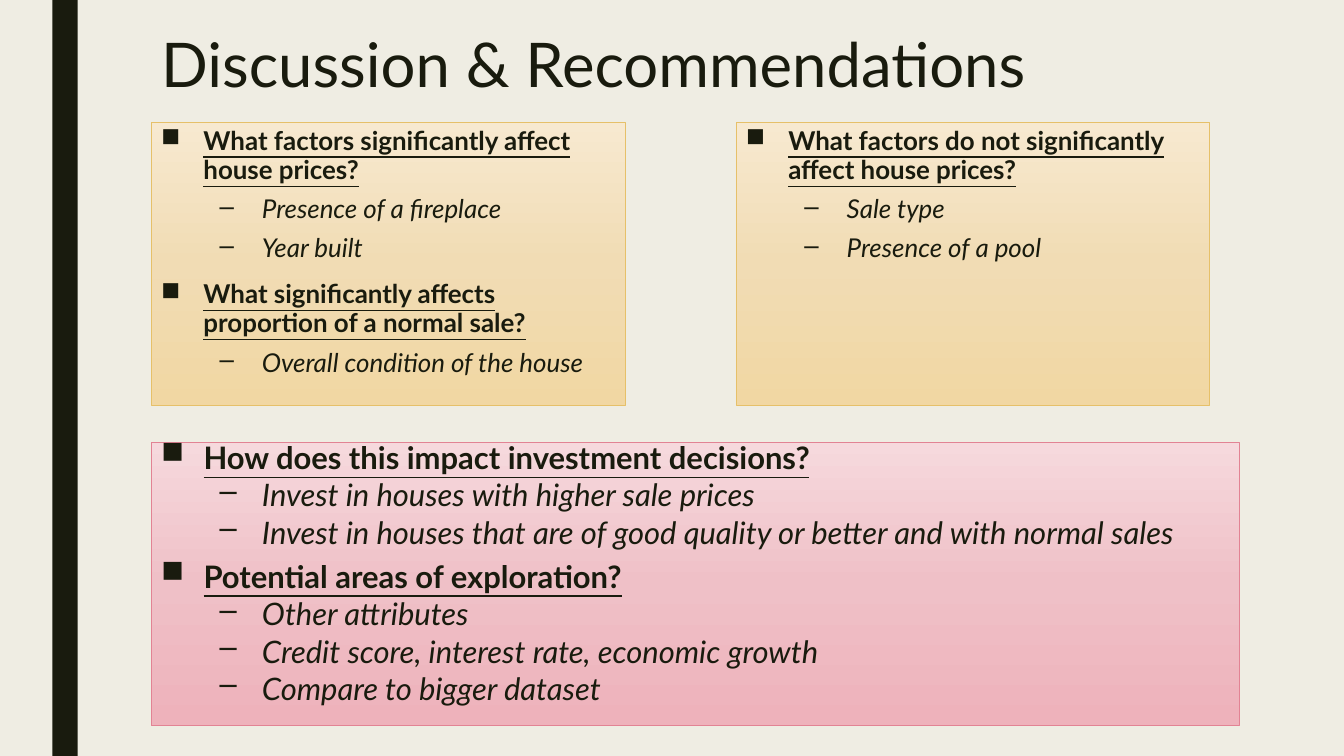
from copy import deepcopy

from lxml import etree
from pptx import Presentation
from pptx.dml.color import RGBColor
from pptx.enum.shapes import MSO_SHAPE
from pptx.enum.text import MSO_ANCHOR, PP_ALIGN
from pptx.oxml.ns import qn
from pptx.util import Inches, Pt

RECT = MSO_SHAPE.RECTANGLE
TOP = MSO_ANCHOR.TOP
LEFT = PP_ALIGN.LEFT

# Palette: fill stops from top to bottom, then the outline
SAND = ("F7E9D0", "F1DCB4", "F1D7A3"), "E6C069"
ROSE = ("F6D9DD", "EFC0C7", "EEB2BB"), "E28394"

# Bullet style by level: mark, left indent in inches, space before in points
MARKS = (("■", 0.42, 10), ("–", 1, 5))
HANG = 0.42


def tint(code):
    return RGBColor.from_string(code)


def write(para, text, size, color, font="Lato", bold=False, under=False,
          slant=False, line=1, before=0, after=0):
    para.alignment = LEFT
    para.line_spacing = line
    para.space_before = Pt(before)
    para.space_after = Pt(after)
    run = para.add_run()
    run.text = text
    face = run.font
    face.name, face.size = font, Pt(size)
    face.bold, face.underline, face.italic = bold, under, slant
    face.color.rgb = tint(color)


class Deck:
    ink = "191B0E"
    paper = "EFEDE3"
    cell = 0.1  # inches per grid column and row

    def __init__(self):
        self.file = Presentation()
        self.file.slide_width = Inches(13.33)
        self.file.slide_height = Inches(7.5)
        self.page = self.file.slides.add_slide(self.file.slide_layouts[6])
        back = self.page.background.fill
        back.solid()
        back.fore_color.rgb = tint(self.paper)

    def place(self, *grid):
        return [Inches(n * self.cell) for n in grid]

    def band(self, *grid):
        bar = self.page.shapes.add_shape(RECT, *self.place(*grid))
        bar.shadow.inherit = False
        bar.fill.solid()
        bar.fill.fore_color.rgb = tint(self.ink)
        bar.line.fill.background()

    def title(self, text, *grid):
        frame = self.page.shapes.add_textbox(*self.place(*grid)).text_frame
        frame.word_wrap = True
        frame.vertical_anchor = TOP
        write(frame.paragraphs[0], text, 44, self.ink, line=0.89)

    def shade(self, box, stops):
        box.fill.gradient()
        box.fill.gradient_angle = 270
        first = box.fill.gradient_stops[0]
        rows = box._element.spPr.find(".//" + qn("a:gsLst"))
        rows.insert(1, deepcopy(rows[0]))
        for i, stop in enumerate(box.fill.gradient_stops):
            stop.position = i / 2
            stop.color.rgb = tint(stops[i])

    def panel(self, topics, style, size, line, *grid):
        stops, edge = style
        box = self.page.shapes.add_shape(RECT, *self.place(*grid))
        box.shadow.inherit = False
        self.shade(box, stops)
        box.line.color.rgb = tint(edge)
        box.line.width = Pt(0.5)
        frame = box.text_frame
        frame.word_wrap = True
        frame.vertical_anchor = TOP
        items = [(text, level) for head, points in topics
                 for text, level in [(head, 0)] + [(p, 1) for p in points]]
        for i, (text, level) in enumerate(items):
            para = frame.paragraphs[0] if i == 0 else frame.add_paragraph()
            self.bullet(para, level)
            write(para, text, size, self.ink, bold=level == 0,
                  under=level == 0, slant=level == 1, line=line,
                  before=MARKS[level][2] if i else 0, after=2)

    def bullet(self, para, level):
        mark, indent, _ = MARKS[level]
        para.level = level
        props = para._p.get_or_add_pPr()
        props.set("marL", str(Inches(indent)))
        props.set("indent", str(-Inches(HANG)))
        etree.SubElement(props, qn("a:buChar")).set("char", mark)


def main():
    deck = Deck()
    deck.band(5.2, 0, 2.5, 75)

    # Findings, side by side
    found = [
        ("What factors significantly affect house prices?",
         ["Presence of a fireplace", "Year built"]),
        ("What significantly affects proportion of a normal sale?",
         ["Overall condition of the house"]),
    ]
    other = [
        ("What factors do not significantly affect house prices?",
         ["Sale type", "Presence of a pool"]),
    ]
    for i, topics in enumerate((found, other)):
        deck.panel(topics, SAND, 18.5, 0.94, 15 + 58 * i, 12.1, 47, 28.1)

    # Recommendations
    advice = [
        ("How does this impact investment decisions?",
         ["Invest in houses with higher sale prices",
          "Invest in houses that are of good quality or better "
          "and with normal sales"]),
        ("Potential areas of exploration?",
         ["Other attributes",
          "Credit score, interest rate, economic growth",
          "Compare to bigger dataset"]),
    ]
    deck.panel(advice, ROSE, 22.1, 0.74, 15, 43.9, 107.9, 28.1)

    # Heading
    deck.title("Discussion & Recommendations", 15, 3, 105, 16.2)
    deck.file.save("out.pptx")


if __name__ == "__main__":
    main()
